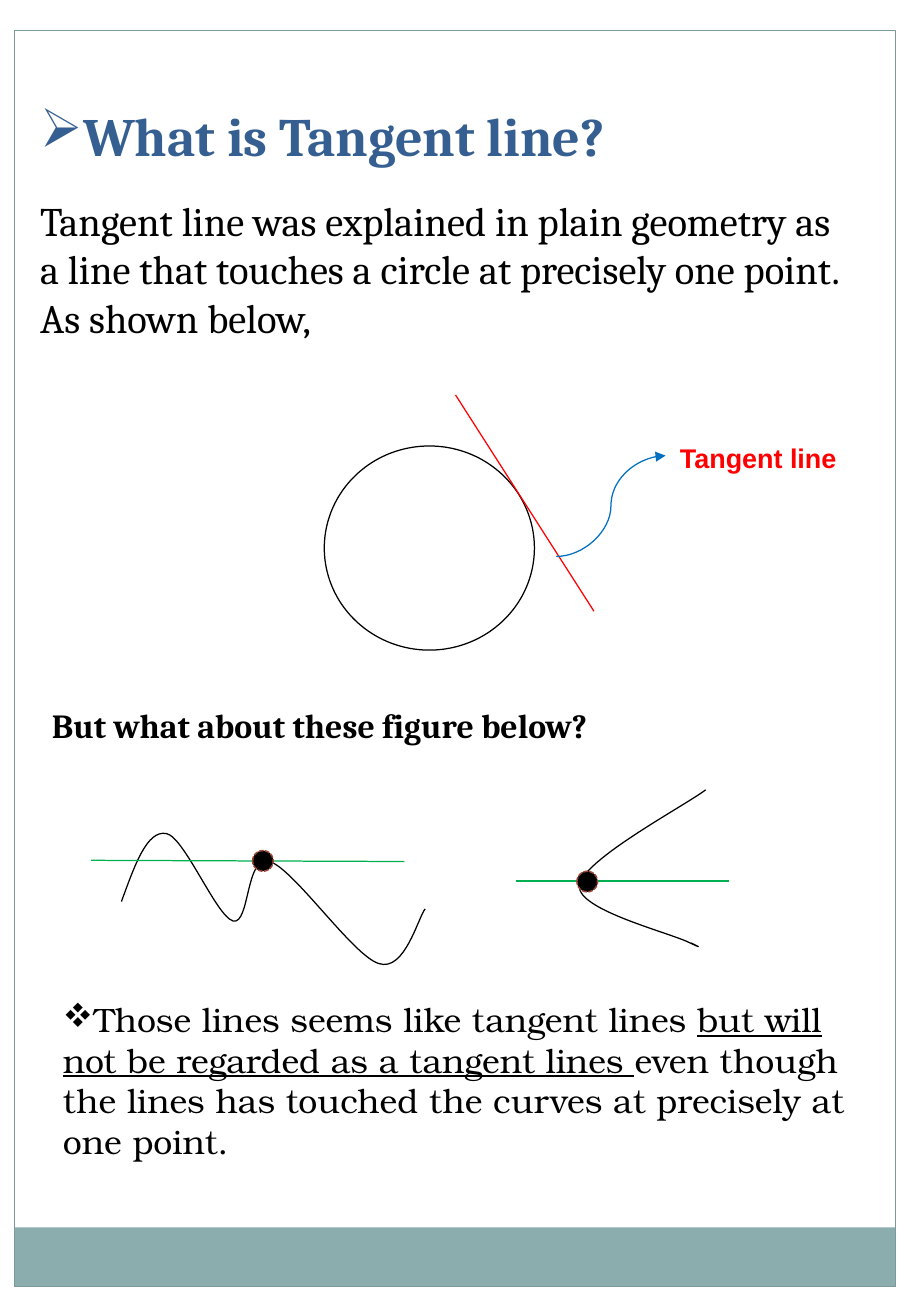
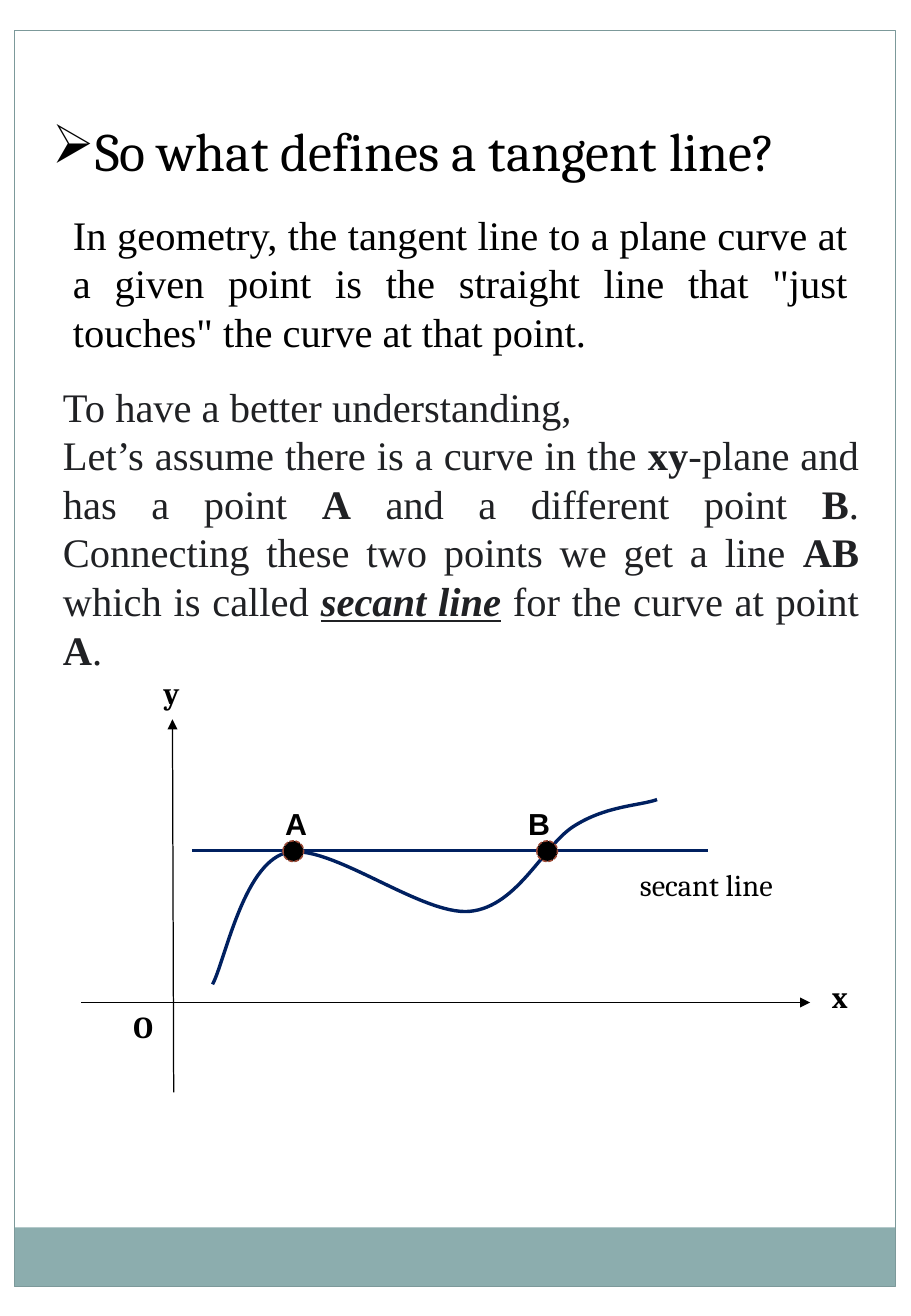
import pptx
import pptx.util
import pptx.dml.color
import pptx.enum.dml
import pptx.enum.shapes
import pptx.enum.text
import pptx.oxml
import lxml.etree

Inches = pptx.util.Inches
Pt = pptx.util.Pt
qn = pptx.oxml.ns.qn
SHAPE = pptx.enum.shapes.MSO_SHAPE
CONNECTOR = pptx.enum.shapes.MSO_CONNECTOR
ALIGN = pptx.enum.text.PP_ALIGN
ANCHOR = pptx.enum.text.MSO_ANCHOR

COLOURS = {
    name: pptx.dml.color.RGBColor.from_string(value)
    for name, value in {
        "white": "FFFFFF", "black": "000000", "band": "8CADAE", "frame": "7C999A",
        "heading": "365F91", "ink": "202124", "red": "FF0000", "green": "00B050",
        "blue": "0070C0", "navy": "002060", "dot_edge": "9B4936",
    }.items()
}
# Wingdings letters for the bullets
ARROWHEAD, DIAMONDS = "Ø", "v"


def write(box, at, paragraphs, size=18, font="Cambria", colour="black", bold=False,
          bullet=None, align=ALIGN.LEFT, anchor=ANCHOR.TOP, inset=(0.1, 0.05)):
    """Fill a box; a paragraph is a string or a list of (text, style letters)."""
    box.left, box.top, box.width, box.height = map(Inches, at)
    frame = box.text_frame
    frame.word_wrap = True
    frame.auto_size = pptx.enum.text.MSO_AUTO_SIZE.NONE
    frame.vertical_anchor = anchor
    frame.margin_left = frame.margin_right = Inches(inset[0])
    frame.margin_top = frame.margin_bottom = Inches(inset[1])
    for index, runs in enumerate(paragraphs):
        para = frame.add_paragraph() if index else frame.paragraphs[0]
        properties = para._p.get_or_add_pPr()
        properties.set("marL", "0")
        properties.set("indent", "0")
        if bullet:
            lxml.etree.SubElement(properties, qn("a:buFont")).set("typeface", "Wingdings")
            lxml.etree.SubElement(properties, qn("a:buChar")).set("char", bullet)
        else:
            lxml.etree.SubElement(properties, qn("a:buNone"))
        para.alignment = align
        para.space_before = Pt(0)
        for text, style in [(runs, "")] if isinstance(runs, str) else runs:
            span = para.add_run()
            span.text = text
            span.font.name, span.font.size = font, Pt(size)
            span.font.color.rgb = COLOURS[colour]
            span.font.bold = bold or "b" in style
            span.font.italic = "i" in style
            span.font.underline = "u" in style


def style_shape(shape, fill=None, line=None, width=0.75):
    """Set fill and outline, without a shadow."""
    shape.shadow.inherit = False
    if fill:
        shape.fill.solid()
        shape.fill.fore_color.rgb = COLOURS[fill]
    else:
        shape.fill.background()
    if line:
        shape.line.color.rgb = COLOURS[line]
        shape.line.width = Pt(width)
    else:
        shape.line.fill.background()


deck = pptx.Presentation()
deck.slide_width, deck.slide_height = Inches(7.5), Inches(10.83)
pages = [deck.slides.add_slide(deck.slide_layouts[1]) for _ in range(2)]
first, second = pages

# Shared margins, band and frame, moved to the master
backdrop = [
    ((0, 0, 7.5, 0.25), "white", None),
    ((7.38, 0, 0.12, 10.83), "white", None),
    ((0, 0, 0.12, 10.83), "white", None),
    ((0.12, 10.1, 7.25, 0.49), "band", None),
    ((0.12, 0.25, 7.25, 10.34), None, "frame"),
]
for index, (at, fill, line) in enumerate(backdrop):
    part = first.shapes.add_shape(SHAPE.RECTANGLE, *map(Inches, at))
    style_shape(part, fill, line)
    part.element.nvSpPr.cNvPr.set("id", str(100 + index))
    deck.slide_master.shapes.element.insert(2 + index, part.element)

# Titles and body text
write(first.shapes.title, (0.33, 0.84, 6.67, 0.55), ["What is Tangent line?"],
      size=32, colour="heading", bold=True, bullet=ARROWHEAD, inset=(0, 0))
write(first.placeholders[1], (0.33, 1.61, 6.67, 1.25),
      ["Tangent line was explained in plain geometry as a line that touches a circle "
       "at precisely one point. As shown below,"], size=24, inset=(0, 0))
write(second.shapes.title, (0.33, 0.92, 7.17, 0.64),
      ["So what defines a tangent line?"], size=32, bullet=ARROWHEAD)
write(second.placeholders[1], (0.5, 1.67, 6.58, 1.31),
      ["In geometry, the tangent line to a plane curve at a given point is the "
       "straight line that \"just touches\" the curve at that point."],
      size=24, font="Times New Roman", align=ALIGN.JUSTIFY, anchor=ANCHOR.MIDDLE)

# Circle touched by the tangent line
circle = first.shapes.add_shape(
    SHAPE.OVAL, *map(Inches, (2.67, 3.67, 1.73, 1.68)))
style_shape(circle, "white", "black")

# Curves: a start point, then two controls and an end for each cubic segment
curves = [
    (first, "black", 0.75, (5.81, 6.5), [
        (5.64, 6.63), (4.79, 7.08), (4.77, 7.29),
        (4.75, 7.49), (5.53, 7.68), (5.68, 7.76),
        (5.83, 7.83), (5.69, 7.76), (5.69, 7.76)]),
    (first, "black", 0.75, (1, 7.42), [
        (1.11, 7.12), (1.21, 6.83), (1.37, 6.86),
        (1.52, 6.89), (1.78, 7.54), (1.92, 7.58),
        (2.06, 7.61), (2.02, 7.03), (2.22, 7.09),
        (2.42, 7.15), (2.91, 7.87), (3.12, 7.93),
        (3.33, 8), (3.44, 7.56), (3.5, 7.48)]),
    (second, "navy", 2, (1.75, 8.1), [
        (1.85, 7.92), (2, 7.12), (2.35, 7.02),
        (2.7, 6.92), (3.47, 7.54), (3.87, 7.5),
        (4.27, 7.46), (4.48, 6.94), (4.74, 6.79),
        (5, 6.63), (5.27, 6.63), (5.41, 6.58)]),
]
for page, colour, width, start, points in curves:
    builder = page.shapes.build_freeform(*map(Inches, start))
    builder.add_line_segments(
        [(Inches(x), Inches(y)) for x, y in points], close=False)
    curve = builder.convert_to_shape()
    style_shape(curve, None, colour, width)
    # Join every three line points into one cubic segment
    segments = list(curve.element.iter(qn("a:lnTo")))
    for index in range(0, len(segments), 3):
        cubic = lxml.etree.Element(qn("a:cubicBezTo"))
        segments[index].addprevious(cubic)
        for segment in segments[index:index + 3]:
            cubic.append(segment[0])
            segment.getparent().remove(segment)

# Straight lines, axes and the curved pointer
lines = [
    (first, CONNECTOR.STRAIGHT, (3.75, 3.25, 4.89, 5.03), "red", 0.75, False),
    (first, CONNECTOR.STRAIGHT, (4.25, 7.25, 6, 7.25), "green", 0.75, False),
    (first, CONNECTOR.STRAIGHT, (0.75, 7.08, 3.33, 7.09), "green", 0.75, False),
    (first, CONNECTOR.CURVE, (4.58, 4.58, 5.48, 3.75), "blue", 0.75, True),
    (second, CONNECTOR.STRAIGHT, (1.58, 7, 5.83, 7), "navy", 2, False),
    (second, CONNECTOR.STRAIGHT, (0.67, 8.25, 6.67, 8.25), "black", 0.75, True),
    (second, CONNECTOR.STRAIGHT, (1.43, 8.99, 1.42, 5.92), "black", 0.75, True),
]
for page, kind, ends, colour, width, arrow in lines:
    line = page.shapes.add_connector(kind, *map(Inches, ends))
    line.line.color.rgb = COLOURS[colour]
    line.line.width = Pt(width)
    if arrow:
        head = lxml.etree.SubElement(line.line._get_or_add_ln(), qn("a:tailEnd"))
        head.set("type", "triangle")
    lxml.etree.SubElement(line.element.spPr, qn("a:effectLst"))

# Points on the curves
for page, left, top in [(first, 2.08, 7), (first, 4.75, 7.17),
                        (second, 2.33, 6.92), (second, 4.42, 6.92)]:
    dot = page.shapes.add_shape(
        SHAPE.OVAL, *map(Inches, (left, top, 0.17, 0.17)))
    style_shape(dot, "black", "dot_edge", 0.9)
    dot.line.dash_style = pptx.enum.dml.MSO_LINE.SQUARE_DOT

# Notes and labels
arial = {"font": "Arial", "bold": True}
texts = [
    (first, (0.33, 5.75, 5.83, 0.44), ["But what about these figure below?"],
     {"size": 20, "bold": True, "anchor": ANCHOR.MIDDLE}),
    (first, (0.42, 8.17, 6.83, 1.75), [[
        ("Those lines seems like tangent lines ", ""),
        ("but will not be regarded as a tangent lines ", "u"),
        ("even though the lines has touched the curves at precisely at one point.", "")]],
     {"size": 20, "font": "TeX Gyre Bonum", "bullet": DIAMONDS}),
    (first, (5.5, 3.58, 1.5, 0.37), ["Tangent line"],
     {"size": 16, "colour": "red", "anchor": ANCHOR.MIDDLE, **arial}),
    (second, (2.25, 6.58, 0.36, 0.4), ["A"], arial),
    (second, (4.25, 6.58, 0.35, 0.4), ["B"], arial),
    (second, (5.17, 7.08, 1.42, 0.4), ["secant line"], {}),
    (second, (1.25, 5.5, 0.34, 0.4), ["y"], {"bold": True}),
    (second, (6.75, 8, 0.35, 0.4), ["x"], {"bold": True}),
    (second, (1, 8.25, 0.41, 0.4), ["O"], {"bold": True}),
    (second, (0.42, 3.08, 6.75, 2.52), ["To have a better understanding,", [
        ("Let’s assume there is a curve in the ", ""), ("xy", "b"),
        ("-plane and has a point ", ""), ("A", "b"),
        (" and a different point ", ""), ("B", "b"),
        (". Connecting these two points we get a line ", ""), ("AB", "b"),
        (" which is called ", ""), ("secant line", "biu"),
        (" for the curve at point ", ""), ("A", "b"), (".", "")]],
     {"size": 24, "font": "Times New Roman", "colour": "ink",
      "align": ALIGN.JUSTIFY, "anchor": ANCHOR.MIDDLE}),
]
for page, at, paragraphs, options in texts:
    box = page.shapes.add_textbox(*map(Inches, at))
    write(box, at, paragraphs, **options)

deck.save("out.pptx")
